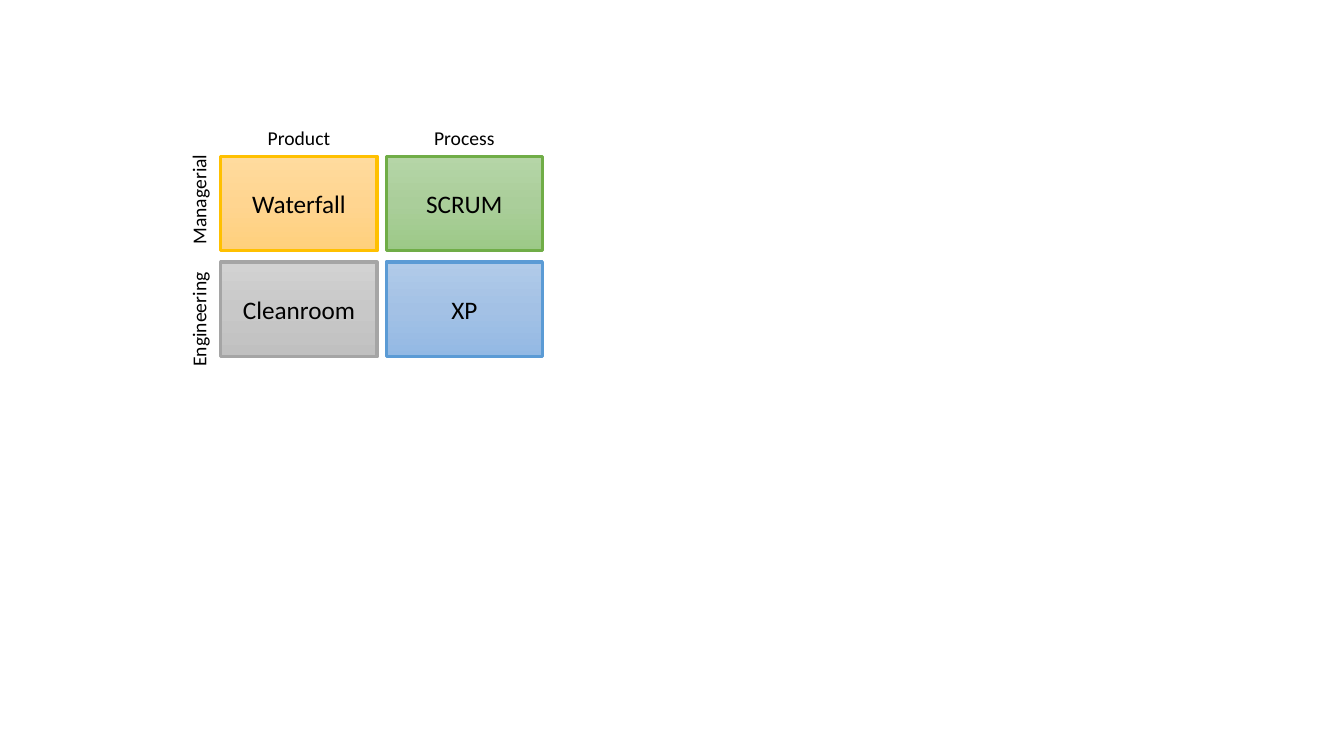
from copy import deepcopy
from typing import NamedTuple

from pptx import Presentation
from pptx.dml.color import RGBColor
from pptx.enum.shapes import MSO_SHAPE
from pptx.enum.text import MSO_ANCHOR, PP_ALIGN
from pptx.oxml.ns import qn
from pptx.util import Inches, Pt

COLORS = {
    "text": "000000",
    "gold": "FFC000", "gold top": "FFDB9E", "gold mid": "FFD590", "gold end": "FFD07C",
    "green": "70AD47", "green top": "B5D5A7", "green mid": "AACE9A", "green end": "9CC987",
    "blue": "5B9BD5", "blue top": "B1CBE9", "blue mid": "A3C1E5", "blue end": "93B9E4",
    "gray": "A5A5A5", "gray top": "D2D2D2", "gray mid": "C8C8C8", "gray end": "C0C0C0",
}
LEFT, TOP = 2.19, 1.55
WIDTH, HEIGHT = 1.55, 0.94
STEP_X, STEP_Y = 1.64, 1.05
HEAD = 0.36


class Method(NamedTuple):
    name: str
    col: int
    row: int
    hue: str


class Label(NamedTuple):
    name: str
    left: float
    top: float
    width: float
    height: float
    turn: int = 0


METHODS = [
    Method("Waterfall", 0, 0, "gold"),
    Method("SCRUM", 1, 0, "green"),
    Method("XP", 1, 1, "blue"),
    Method("Cleanroom", 0, 1, "gray"),
]
LABELS = [
    Label(name, LEFT + col * STEP_X, TOP - HEAD, WIDTH, HEAD)
    for col, name in enumerate(["Product", "Process"])
] + [
    Label("Managerial", 1.29, 1.7, 1.36, 0.56, 270),
    Label("Engineering", 1.18, 2.89, 1.58, 0.56, 270),
]


def color(name: str) -> RGBColor:
    return RGBColor.from_string(COLORS[name])


def write(shape, text: str, size: int) -> None:
    frame = shape.text_frame
    frame.word_wrap = True
    frame.vertical_anchor = MSO_ANCHOR.MIDDLE
    line = frame.paragraphs[0]
    line.alignment = PP_ALIGN.CENTER
    run = line.add_run()
    run.text = text
    run.font.name = "Calibri"
    run.font.size = Pt(size)
    run.font.color.rgb = color("text")


def shade(shape, hue: str) -> None:
    fill = shape.fill
    fill.gradient()
    fill.gradient_angle = 270
    stops = shape._element.spPr.find(qn("a:gradFill")).find(qn("a:gsLst"))
    stops.insert(1, deepcopy(stops[0]))
    for stop, (place, part) in zip(
        fill.gradient_stops, [(0, "top"), (0.5, "mid"), (1, "end")]
    ):
        stop.position = place
        stop.color.rgb = color(f"{hue} {part}")


def draw_method(slide, item: Method) -> None:
    box = slide.shapes.add_shape(
        MSO_SHAPE.RECTANGLE,
        Inches(LEFT + item.col * STEP_X), Inches(TOP + item.row * STEP_Y),
        Inches(WIDTH), Inches(HEIGHT),
    )
    box.shadow.inherit = False
    shade(box, item.hue)
    box.line.color.rgb = color(item.hue)
    box.line.width = Pt(2.25)
    write(box, item.name, 18)


def draw_label(slide, item: Label) -> None:
    box = slide.shapes.add_textbox(
        Inches(item.left), Inches(item.top), Inches(item.width), Inches(item.height)
    )
    box.rotation = item.turn
    write(box, item.name, 14)


deck = Presentation()
deck.slide_width, deck.slide_height = Inches(13.33), Inches(7.5)
slide = deck.slides.add_slide(deck.slide_layouts[6])
for item in METHODS:
    draw_method(slide, item)
for item in LABELS:
    draw_label(slide, item)
deck.save("out.pptx")
